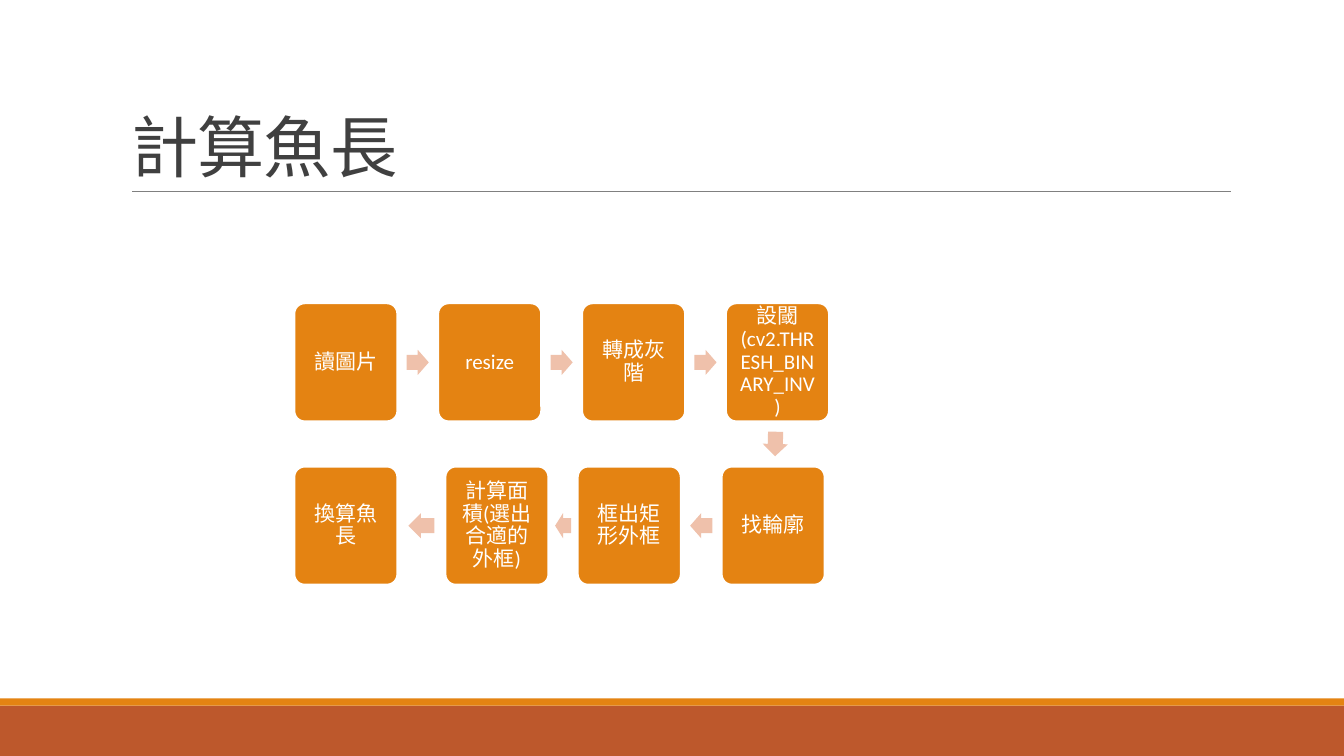
from dataclasses import dataclass
from math import atan2, degrees, hypot
from lxml.etree import SubElement
from pptx import Presentation
from pptx.dml.color import RGBColor as RGB
from pptx.enum.shapes import MSO_CONNECTOR as Link, MSO_SHAPE as Kind
from pptx.enum.text import MSO_ANCHOR as Anchor, MSO_AUTO_SIZE as Fit, PP_ALIGN as Align
from pptx.oxml.ns import qn
from pptx.util import Inches, Pt


@dataclass(frozen=True)
class Theme:
    face: str = "Calibri"
    ink: str = "404040"
    white: str = "FFFFFF"
    rule: str = "808080"
    main: str = "E48312"
    base: str = "BD582C"
    pale: str = "EFC1AB"
    head: int = 48
    body: int = 15


THEME = Theme()
WIDE, HIGH = 13.33, 7.5
LEFT, TOP = 2.92, 3.01
COL, ROW = 1.427, 1.62
BOX_W, BOX_H = 1.02, 1.17
STEPS = [
    ("讀圖片", 0, 0),
    ("resize", 1, 0),
    ("轉成灰階", 2, 0),
    ("設閾(cv2.THRESH_BINARY_INV)", 3, 0),
    ("找輪廓", 2.97, 1),
    ("框出矩形外框", 1.97, 1),
    ("計算面積(選出合適的外框)", 1.05, 1),
    ("換算魚長", 0, 1),
]


def apply(item, form):
    for name, value in form.items():
        setattr(item, name, value)


def shape(slide, kind, area, fill, edge=None):
    item = slide.shapes.add_shape(kind, *map(Inches, area))
    item.shadow.inherit = False
    item.fill.solid()
    item.fill.fore_color.rgb = RGB.from_string(fill)
    if edge:
        item.line.color.rgb = RGB.from_string(edge)
        item.line.width = Pt(1.25)
    else:
        item.line.fill.background()
    return item


def write(item, text, size, color, frame, para):
    body = item.text_frame
    apply(body, {"word_wrap": True, "auto_size": Fit.NONE, **frame})
    line = body.paragraphs[0]
    apply(line, para)
    run = line.add_run()
    run.text = text
    apply(run.font, {"name": THEME.face, "size": Pt(size)})
    run.font.color.rgb = RGB.from_string(color)
    return run


def title(slide, text):
    item = slide.shapes.title
    area = (0.09 * WIDE, 0.31, 0.825 * WIDE, 1.59)
    apply(item, dict(zip(("left", "top", "width", "height"), map(Inches, area))))
    run = write(item, text, THEME.head, THEME.ink,
                {"vertical_anchor": Anchor.BOTTOM},
                {"alignment": Align.LEFT, "line_spacing": 0.85})
    run._r.get_or_add_rPr().set("spc", "-50")


def frame(slide):
    shape(slide, Kind.RECTANGLE, (0, 7, WIDE, 0.5), THEME.base)
    shape(slide, Kind.RECTANGLE, (0, 6.93, WIDE, 0.07), THEME.main)
    ends = (1.31, 1.9, 12.21, 1.9)
    rule = slide.shapes.add_connector(Link.STRAIGHT, *map(Inches, ends))
    rule.line.color.rgb = RGB.from_string(THEME.rule)
    rule.line.width = Pt(0.5)
    SubElement(rule._element.spPr, qn("a:effectLst"))


def step(slide, text, col, row):
    area = (LEFT + col * COL, TOP + row * ROW, BOX_W, BOX_H)
    item = shape(slide, Kind.ROUNDED_RECTANGLE, area, THEME.main, THEME.white)
    item.adjustments[0] = 0.1
    sides = ("left", "right", "top", "bottom")
    pads = {f"margin_{side}": Inches(0.09) for side in sides}
    write(item, text, THEME.body, THEME.white,
          {"vertical_anchor": Anchor.MIDDLE, **pads},
          {"alignment": Align.CENTER, "line_spacing": 0.9})


def arrow(slide, start, end):
    run = (end[1] - start[1]) * COL
    drop = (end[2] - start[2]) * ROW
    gap = hypot(run, drop) - (BOX_H if drop else BOX_W)
    long, thick = 0.54 * gap, 0.25
    mid_x = LEFT + start[1] * COL + (BOX_W + run) / 2
    mid_y = TOP + start[2] * ROW + (BOX_H + drop) / 2
    area = (mid_x - long / 2, mid_y - thick / 2, long, thick)
    item = shape(slide, Kind.RIGHT_ARROW, area, THEME.pale)
    item.rotation = degrees(atan2(drop, run))
    item.adjustments[0] = 0.6
    item.adjustments[1] = 0.5


def main():
    deck = Presentation()
    apply(deck, {"slide_width": Inches(WIDE), "slide_height": Inches(HIGH)})
    slide = deck.slides.add_slide(deck.slide_layouts[5])
    frame(slide)
    title(slide, "計算魚長")
    for item in STEPS:
        step(slide, *item)
    for start, end in zip(STEPS, STEPS[1:]):
        arrow(slide, start, end)
    deck.save("out.pptx")


if __name__ == "__main__":
    main()
